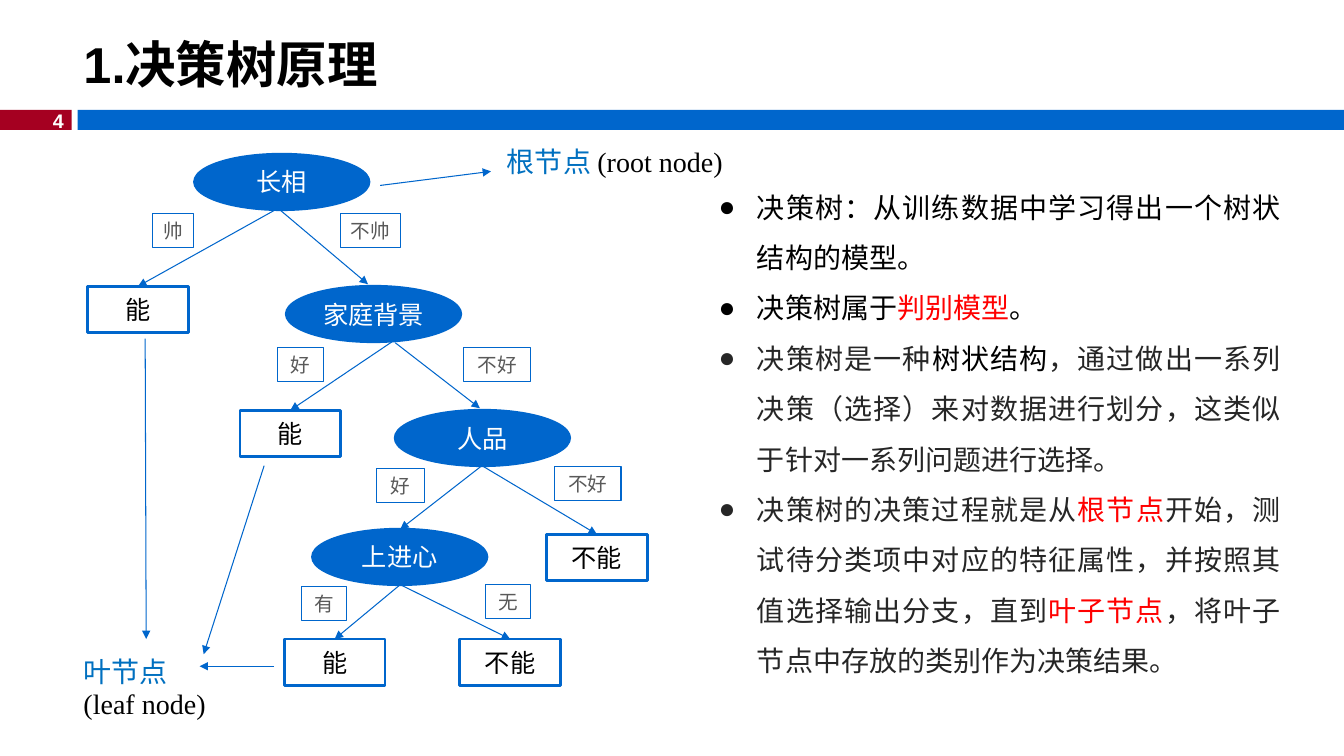
from lxml.etree import SubElement
from pptx import Presentation
from pptx.dml.color import RGBColor
from pptx.enum.shapes import MSO_CONNECTOR, MSO_SHAPE
from pptx.enum.text import MSO_ANCHOR, PP_ALIGN
from pptx.oxml.ns import qn
from pptx.util import Pt

PX = 9144
BLUE = RGBColor(0x00, 0x66, 0xCC)
CRIMSON = RGBColor(0xA5, 0x00, 0x21)
WHITE = RGBColor(0xFF, 0xFF, 0xFF)
BLACK = RGBColor(0x00, 0x00, 0x00)
GRAY = RGBColor(0x59, 0x59, 0x59)
DARK = RGBColor(0x26, 0x26, 0x26)
RED = RGBColor(0xFF, 0x00, 0x00)
SKY = RGBColor(0x00, 0x70, 0xC0)
SANS = "Noto Sans CJK SC"
SERIF = "Times New Roman"


def scale(*nums):
    return [num * PX for num in nums]


def write(frame, paras, size=18, font="Arial", color=BLACK, bold=False,
          align=PP_ALIGN.LEFT, anchor=MSO_ANCHOR.TOP, wrap=True,
          lead=None, before=None, bullet=None, inset=None):
    frame.word_wrap = wrap
    frame.vertical_anchor = anchor
    if inset is not None:
        frame.margin_left = frame.margin_right = inset
        frame.margin_top = frame.margin_bottom = inset
    for i, runs in enumerate(paras):
        para = frame.add_paragraph() if i else frame.paragraphs[0]
        para.alignment = align
        if lead:
            para.line_spacing = lead
        if before:
            para.space_before = Pt(before)
        if bullet:
            props = para._p.get_or_add_pPr()
            props.set("marL", str(38 * PX))
            props.set("indent", str(-38 * PX))
            SubElement(props, qn("a:buFont")).set("typeface", "Arial")
            SubElement(props, qn("a:buChar")).set("char", bullet)
        for text, *style in runs:
            run = para.add_run()
            run.text = text
            run.font.size = Pt(size)
            run.font.bold = bold
            run.font.color.rgb = style[0] if style else color
            run.font.name = style[1] if len(style) > 1 else font
            SubElement(run._r.rPr, qn("a:ea")).set("typeface", SANS)


def add_text(slide, box, paras, **fmt):
    write(slide.shapes.add_textbox(*scale(*box)).text_frame, paras, **fmt)


def add_box(slide, box, kind=MSO_SHAPE.RECTANGLE, fill=None, line=None,
            width=2, text=None, **fmt):
    shape = slide.shapes.add_shape(kind, *scale(*box))
    shape.shadow.inherit = False
    if fill is None:
        shape.fill.background()
    else:
        shape.fill.solid()
        shape.fill.fore_color.rgb = fill
    if line is None:
        shape.line.fill.background()
    else:
        shape.line.color.rgb = line
        shape.line.width = Pt(width)
    if text:
        write(shape.text_frame, [[(text,)]], align=PP_ALIGN.CENTER,
              anchor=MSO_ANCHOR.MIDDLE, wrap=False, inset=0, **fmt)
    return shape


def add_test(slide, x, y, text):
    add_box(slide, (x, y, 173, 55), MSO_SHAPE.OVAL, BLUE, BLUE,
            text=text, color=WHITE)


def add_leaf(slide, x, y, text):
    return add_box(slide, (x, y, 100, 46), fill=WHITE, line=BLUE, text=text)


def add_label(slide, x, y, width, text):
    add_box(slide, (x, y, width, 34), line=BLUE, width=0.75,
            text=text, size=14, color=GRAY)


def add_arrow(slide, ends, leaf=None):
    link = slide.shapes.add_connector(MSO_CONNECTOR.STRAIGHT, *scale(*ends))
    link.line.color.rgb = BLUE
    link.line.width = Pt(0.75)
    SubElement(link.line._get_or_add_ln(), qn("a:tailEnd")).set("type", "triangle")
    SubElement(link._element.spPr, qn("a:effectLst"))
    if leaf is not None:
        link.end_connect(leaf, 0)


def add_tree(slide):
    for test in [(193, 153, "长相"), (284, 284, "家庭背景"),
                 (392, 407, "人品"), (310, 525, "上进心")]:
        add_test(slide, *test)
    for x, y, text, start in [
            (87, 284, "能", (277, 206)), (238, 407, "能", (389, 339)),
            (542, 530, "不能", (478, 462)), (282, 634, "能", (397, 580)),
            (456, 634, "不能", (397, 580))]:
        leaf = add_leaf(slide, x, y, text)
        add_arrow(slide, (*start, x + 50, y), leaf)
    for ends in [(275, 206, 365, 282), (392, 340, 476, 405),
                 (478, 462, 397, 525), (272, 661, 198, 661),
                 (262, 462, 202, 649), (377, 184, 487, 170),
                 (144, 336, 145, 634)]:
        add_arrow(slide, ends)
    for label in [(151, 212, 41, "帅"), (338, 212, 59, "不帅"),
                  (275, 345, 46, "好"), (460, 345, 66, "不好"),
                  (373, 465, 48, "好"), (550, 463, 66, "不好"),
                  (299, 582, 45, "有"), (482, 580, 44, "无")]:
        add_label(slide, *label)
    add_text(slide, (493, 138, 263, 44),
             [[("根节点 ", SKY), ("(root node)", BLACK, SERIF)]],
             size=20, font=SANS, before=10)
    add_text(slide, (73, 659, 667, 63),
             [[("叶节点", SKY)], [("(leaf node)", BLACK, SERIF)]],
             size=20, font=SANS, lead=0.5, before=11)


def add_notion(slide):
    points = [
        [("决策树：从训练数据中学习得出一个树状结构的模型。",)],
        [("决策树属于",), ("判别模型", RED), ("。",)],
        [("决策树是一种", DARK), ("树状结构",),
         ("，通过做出一系列决策（选择）来对数据进行划分，这类似于针对一系列问题进行选择。", DARK)],
        [("决策树的决策过程就是从", DARK), ("根节点", RED),
         ("开始，测试待分类项中对应的特征属性，并按照其值选择输出分支，直到", DARK),
         ("叶子节点", RED), ("，将叶子节点中存放的类别作为决策结果。", DARK)],
    ]
    add_text(slide, (703, 167, 577, 515), points, size=20, font=SANS,
             align=PP_ALIGN.JUSTIFY, lead=1.5, bullet="●")


def main():
    deck = Presentation()
    deck.slide_width, deck.slide_height = scale(1333, 750)
    slide = deck.slides.add_slide(deck.slide_layouts[6])
    add_box(slide, (0, 109, 71, 20), fill=CRIMSON)
    add_box(slide, (77, 109, 1256, 20), fill=BLUE)
    add_text(slide, (29, 103, 44, 34), [[("4",)]], size=14, color=WHITE,
             bold=True, align=PP_ALIGN.RIGHT, wrap=False)
    add_text(slide, (73, 26, 1260, 74), [[("1.决策树原理",)]], size=36,
             bold=True, anchor=MSO_ANCHOR.MIDDLE)
    add_notion(slide)
    add_tree(slide)
    deck.save("out.pptx")


if __name__ == "__main__":
    main()
